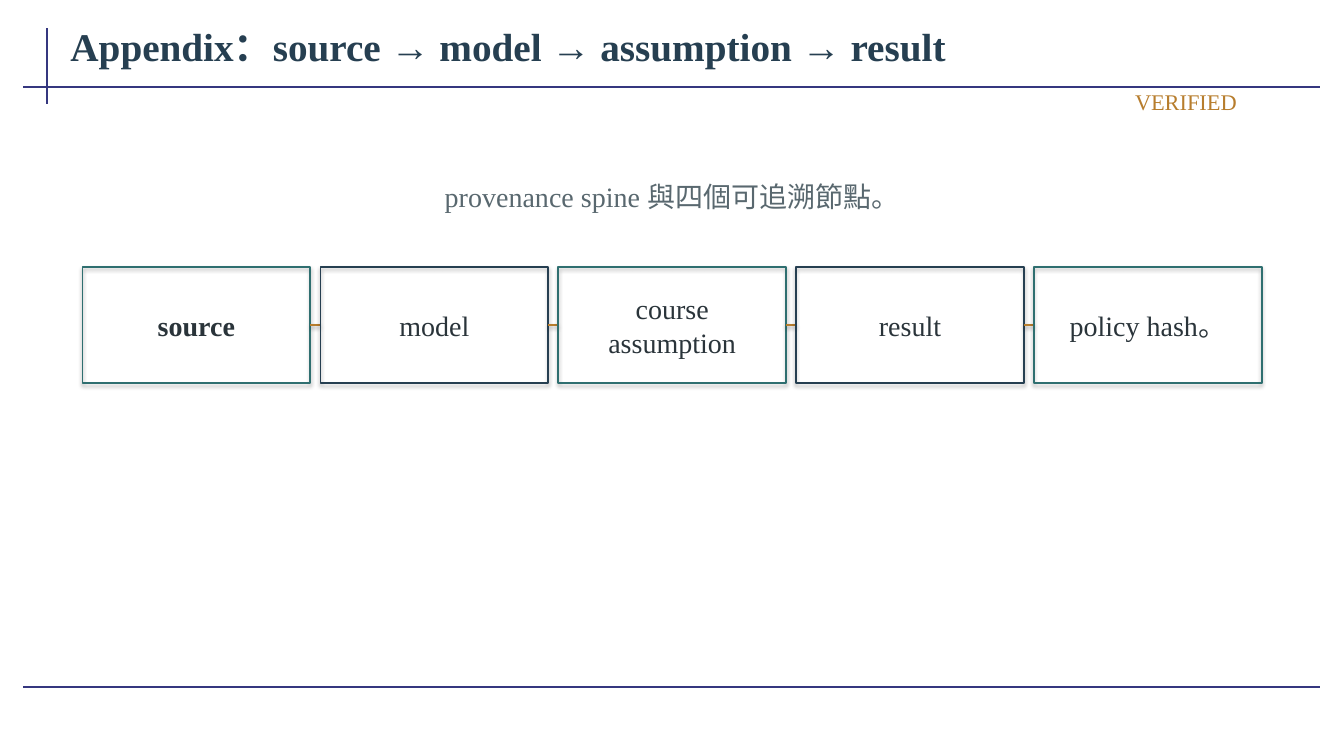
import pptx
import pptx.util
import pptx.dml.color
import pptx.enum.shapes
import pptx.enum.text
import pptx.oxml
import pptx.oxml.ns
from dataclasses import dataclass

Pt = pptx.util.Pt
ALIGN = pptx.enum.text.PP_ALIGN
FIT = pptx.enum.text.MSO_AUTO_SIZE


@dataclass(frozen=True)
class Theme:
    font: str = "Times New Roman"
    rule: str = "35377F"
    navy: str = "263F51"
    teal: str = "2F6F70"
    amber: str = "B77D2D"
    ink: str = "2A343A"
    muted: str = "59686F"
    title_size: int = 28
    body_size: int = 20
    tag_size: int = 16
    rule_width: float = 1.5
    node_width: float = 1.2


def rgb(value):
    return pptx.dml.color.RGBColor.from_string(value)


def write_text(tf, text, *, font, size, color, bold=False, align=ALIGN.CENTER, fit=FIT.SHAPE_TO_FIT_TEXT):
    tf.word_wrap = True
    tf.auto_size = fit
    tf.vertical_anchor = pptx.enum.text.MSO_ANCHOR.MIDDLE
    tf.margin_left = tf.margin_right = Pt(5.75)
    tf.margin_top = tf.margin_bottom = Pt(2.9)
    p = tf.paragraphs[0]
    p.alignment = align
    r = p.add_run()
    r.text = text
    r.font.name = font
    r.font.size = Pt(size)
    r.font.bold = bold
    r.font.color.rgb = rgb(color)


def set_effect(sp, alpha=None, distance=0):
    """Give the shape a soft downward shadow, or none when alpha is None."""
    shadow = "" if alpha is None else (
        f'<a:outerShdw blurRad="{Pt(3.1)}" dist="{Pt(distance)}" dir="5400000" rotWithShape="0">'
        f'<a:srgbClr val="000000"><a:alpha val="{alpha * 1000}"/></a:srgbClr></a:outerShdw>')
    sp._element.spPr.append(pptx.oxml.parse_xml(
        f'<a:effectLst {pptx.oxml.ns.nsdecls("a")}>{shadow}</a:effectLst>'))


class SlideBuilder:
    def __init__(self, s, theme):
        self.s = s
        self.theme = theme

    def title(self, text, x, y, w, h):
        sp = self.s.shapes.title
        sp.left, sp.top, sp.width, sp.height = map(Pt, (x, y, w, h))
        write_text(sp.text_frame, text, font=self.theme.font, size=self.theme.title_size,
                   color=self.theme.navy, bold=True, align=ALIGN.LEFT, fit=FIT.NONE)

    def text(self, text, x, y, w, h, **style):
        sp = self.s.shapes.add_textbox(Pt(x), Pt(y), Pt(w), Pt(h))
        write_text(sp.text_frame, text, font=self.theme.font, **style)

    def line(self, x1, y1, x2, y2, color, width, alpha=None):
        sp = self.s.shapes.add_connector(
            pptx.enum.shapes.MSO_CONNECTOR.STRAIGHT, Pt(x1), Pt(y1), Pt(x2), Pt(y2))
        sp.line.color.rgb = rgb(color)
        sp.line.width = Pt(width)
        set_effect(sp, alpha, 1.6)

    def node(self, text, x, y, w, h, color, bold):
        sp = self.s.shapes.add_shape(
            pptx.enum.shapes.MSO_SHAPE.RECTANGLE, Pt(x), Pt(y), Pt(w), Pt(h))
        sp.fill.background()
        sp.line.color.rgb = rgb(color)
        sp.line.width = Pt(self.theme.node_width)
        set_effect(sp, 35, 1.8)
        # The label is a separate box so that the letters cast no shadow
        self.text(text, x + 3.6, y + 7.2, w - 7.2, h - 14.4,
                  size=self.theme.body_size, color=self.theme.ink, bold=bold)


def main():
    prs = pptx.Presentation()
    prs.slide_width, prs.slide_height = Pt(960), Pt(540)
    theme = Theme()
    slide = SlideBuilder(prs.slides.add_slide(prs.slide_layouts[5]), theme)

    # Frame rules
    for ends in ((33.8, 20.2, 33.8, 74.2), (16.6, 61.9, 943.2, 61.9), (16.6, 491, 943.2, 491)):
        slide.line(*ends, theme.rule, theme.rule_width)

    # Title
    slide.title("Appendix：source → model → assumption → result", 44.6, 10.8, 899.3, 44.6)

    # Provenance spine: equal nodes joined by short links
    labels = ["source", "model", "course assumption", "result", "policy hash。"]
    left, top, width, height, gap = 59, 190.8, 162.7, 82.8, 7.2
    for i, label in enumerate(labels):
        x = left + i * (width + gap)
        if i:
            middle = top + height / 2
            slide.line(x - gap, middle, x, middle, theme.amber, theme.node_width, alpha=38)
        slide.node(label, x, top, width, height,
                   color=theme.navy if i % 2 else theme.teal, bold=i == 0)

    # Caption and status tag
    slide.text("provenance spine 與四個可追溯節點。", 66.2, 118.8, 828, 43.2,
               size=theme.body_size, color=theme.muted)
    slide.text("VERIFIED", 658.8, 61.9, 230.4, 21.6,
               size=theme.tag_size, color=theme.amber, align=ALIGN.RIGHT)

    prs.save("out.pptx")


if __name__ == "__main__":
    main()
